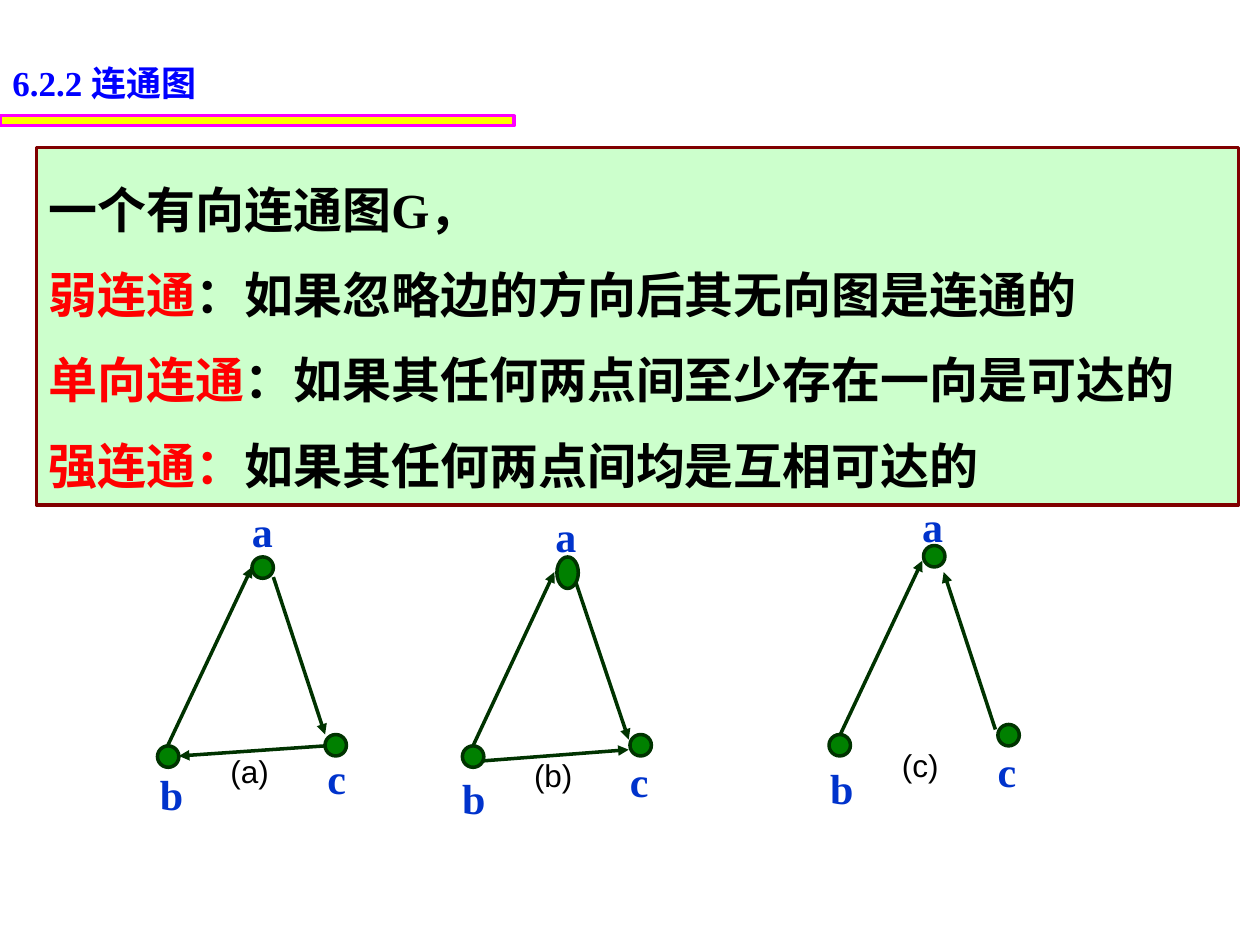
from lxml.etree import SubElement
from pptx import Presentation
from pptx.dml.color import RGBColor
from pptx.enum.shapes import MSO_CONNECTOR, MSO_SHAPE
from pptx.enum.text import MSO_ANCHOR, PP_ALIGN
from pptx.oxml.ns import qn
from pptx.util import Pt

PX = 9144
CJK = "Noto Sans CJK SC"
ROMAN = "Times New Roman"
RED, BLACK = "FF0000", "000000"


def paint(shape, fill, line, width):
    shape.shadow.inherit = False
    shape.fill.solid()
    shape.fill.fore_color.rgb = RGBColor.from_string(fill)
    shape.line.color.rgb = RGBColor.from_string(line)
    shape.line.width = Pt(width)


def write(para, text, face, size, hue, bold=True):
    run = para.add_run()
    run.text = text
    look = {"name": face, "size": Pt(size), "bold": bold}
    for key, val in look.items():
        setattr(run.font, key, val)
    run.font.color.rgb = RGBColor.from_string(hue)
    SubElement(run.font._element, qn("a:ea"), typeface=CJK)


deck = Presentation()
deck.slide_width, deck.slide_height = 1000 * PX, 750 * PX
slide = deck.slides.add_slide(deck.slide_layouts[6])
shapes = slide.shapes

bar = shapes.add_shape(MSO_SHAPE.RECTANGLE, 0, 92 * PX, 408 * PX, 8 * PX)
paint(bar, "FFFF00", "FF00FF", 1.75)

panel = shapes.add_shape(MSO_SHAPE.RECTANGLE, 29 * PX, 117 * PX, 954 * PX, 284 * PX)
paint(panel, "CCFFCC", "800000", 2)
frame = panel.text_frame
layout = {"word_wrap": True, "vertical_anchor": MSO_ANCHOR.BOTTOM, "margin_bottom": 9 * PX}
for key, val in layout.items():
    setattr(frame, key, val)
lines = [
    [("一个有向连通图", CJK, BLACK), ("G", ROMAN, BLACK), ("，", CJK, BLACK)],
    [("弱连通", CJK, RED), ("：如果忽略边的方向后其无向图是连通的", CJK, BLACK)],
    [("单向连通", CJK, RED), ("：如果其任何两点间至少存在一向是可达的", CJK, BLACK)],
    [("强连通：", CJK, RED), ("如果其任何两点间均是互相可达的", CJK, BLACK)],
]
for row, parts in enumerate(lines):
    para = frame.add_paragraph() if row else frame.paragraphs[0]
    para.alignment = PP_ALIGN.LEFT
    para.line_spacing = Pt(48.6)
    for text, face, hue in parts:
        write(para, text, face, 28, hue)

graphs = [
    {
        "nodes": [(200, 442, 17), (125, 592, 17), (258, 583, 17)],
        "edges": [(133, 592, 200, 450), (258, 592, 142, 600), (217, 458, 258, 583)],
        "names": [("a", 190, 396), ("b", 117, 605), ("c", 250, 592), ("(a)", 173, 592)],
    },
    {
        "nodes": [(442, 442, 25), (367, 592, 17), (500, 583, 17)],
        "edges": [(374, 595, 440, 454), (382, 604, 499, 595), (457, 462, 499, 587)],
        "names": [("a", 431, 400), ("b", 357, 608), ("c", 490, 595), ("(b)", 414, 595)],
    },
    {
        "nodes": [(733, 433, 17), (658, 583, 17), (792, 575, 17)],
        "edges": [(665, 587, 732, 445), (790, 579, 749, 454)],
        "names": [("a", 722, 392), ("b", 649, 600), ("c", 782, 587), ("(c)", 706, 587)],
    },
]
for graph in graphs:
    group = shapes.add_group_shape().shapes
    for ends in graph["edges"]:
        edge = group.add_connector(MSO_CONNECTOR.STRAIGHT, *[n * PX for n in ends])
        edge.line.color.rgb = RGBColor.from_string("003300")
        edge.line.width = Pt(2)
        props = edge._element.spPr
        SubElement(props.find(qn("a:ln")), qn("a:tailEnd"), type="triangle")
        SubElement(props, qn("a:effectLst"))
    for left, top, high in graph["nodes"]:
        node = group.add_shape(MSO_SHAPE.OVAL, left * PX, top * PX, 17 * PX, high * PX)
        paint(node, "008000", "003300", 2)
    for text, left, top in graph["names"]:
        single = len(text) == 1
        wide, high = (38, 50) if single else (56, 40)
        label = group.add_textbox(left * PX, top * PX, wide * PX, high * PX)
        for key, val in {"word_wrap": True, "margin_right": 0}.items():
            setattr(label.text_frame, key, val)
        style = (ROMAN, 24, "0033CC") if single else ("Arial", 18, BLACK, False)
        write(label.text_frame.paragraphs[0], text, *style)

title = shapes.add_textbox(0, 44 * PX, 352 * PX, 43 * PX).text_frame
for key, val in {"word_wrap": True, "vertical_anchor": MSO_ANCHOR.MIDDLE}.items():
    setattr(title, key, val)
write(title.paragraphs[0], "6.2.2 ", ROMAN, 20, "0000FF")
write(title.paragraphs[0], "连通图", "Arial", 20, "0000FF")

deck.save("out.pptx")
